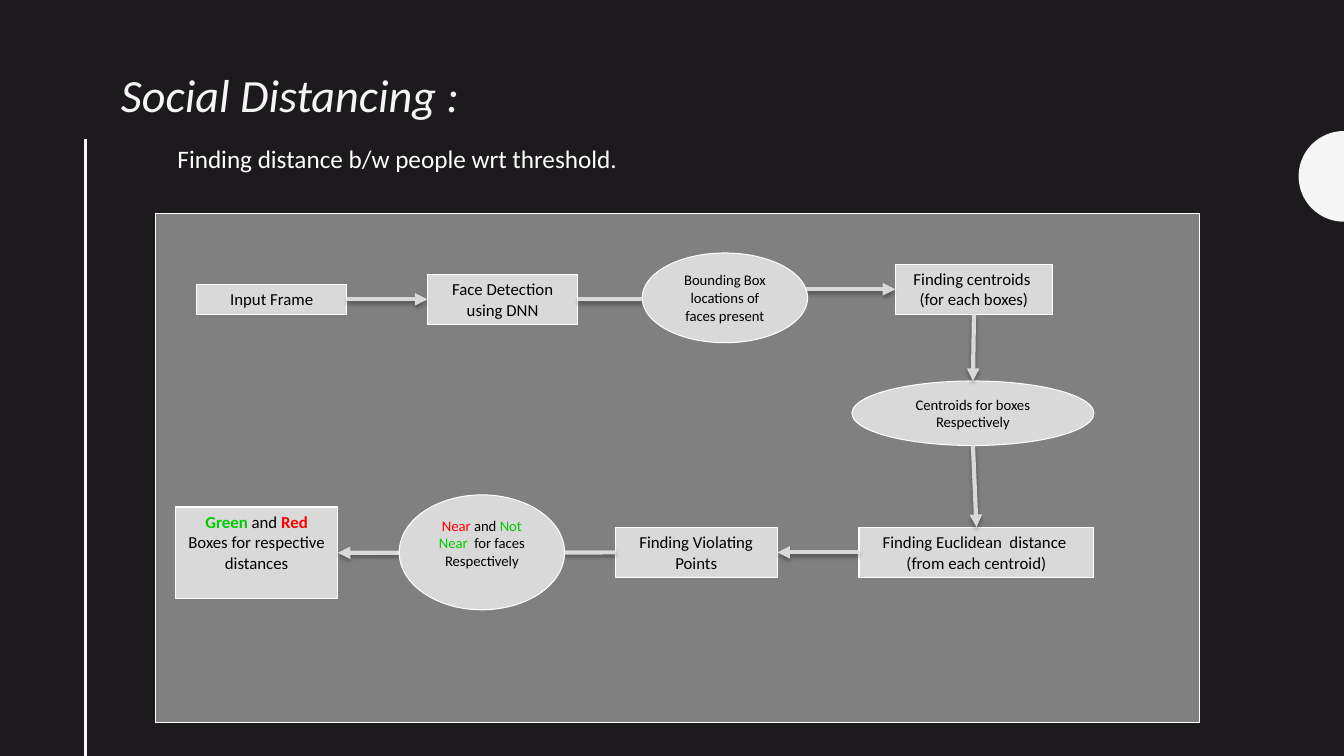
import math

from lxml import etree
from pptx import Presentation
from pptx.dml.color import RGBColor
from pptx.enum.shapes import MSO_CONNECTOR, MSO_SHAPE
from pptx.enum.text import MSO_ANCHOR, MSO_AUTO_SIZE, PP_ALIGN
from pptx.oxml import parse_xml
from pptx.oxml.ns import nsdecls, qn
from pptx.util import Inches, Pt

RECT, OVAL = MSO_SHAPE.RECTANGLE, MSO_SHAPE.OVAL
STRAIGHT, ELBOW = MSO_CONNECTOR.STRAIGHT, MSO_CONNECTOR.ELBOW
LEFT, CENTER = PP_ALIGN.LEFT, PP_ALIGN.CENTER
TOP, NO_FIT = MSO_ANCHOR.TOP, MSO_AUTO_SIZE.NONE
TOP_SIDE, LEFT_SIDE, BOTTOM_SIDE, RIGHT_SIDE = range(4)
FONT = "Calibri"
COLORS = {"back": "1D1A1D", "light": "F5F5F5", "white": "FFFFFF", "panel": "808080",
          "node": "D9D9D9", "black": "000000", "green": "00CC00", "red": "FF0000"}

STEPS = {
    "input": (0.41, 0.7, 1.49, 0.3, [[("Input Frame", "black", False)]]),
    "detect": (2.7, 0.6, 1.49, 0.5, [[("Face Detection using DNN", "black", False)]]),
    "centroids": (7.34, 0.5, 1.56, 0.5, [[("Finding centroids ", "black", False)],
                                         [("(for each boxes)", "black", False)]]),
    "euclidean": (6.98, 3.11, 2.33, 0.5, [[("Finding Euclidean  distance ", "black", False)],
                                          [("(from each centroid)", "black", False)]]),
    "violating": (4.56, 3.11, 1.61, 0.5, [[("Finding Violating Points", "black", False)]]),
    "result": (0.2, 2.91, 1.61, 0.91, [[("Green", "green", True), (" and ", "black", False),
                                        ("Red", "red", True),
                                        (" Boxes for respective distances", "black", False)]]),
}
DATA = {
    "boxes": (4.83, 0.39, 1.64, 0.89,
              [[("Bounding Box locations of faces present", "black", False)]]),
    "points": (6.91, 1.66, 2.4, 0.64,
               [[("Centroids for boxes Respectively", "black", False)]]),
    "labels": (2.42, 2.79, 1.64, 1.14, [[("Near", "red", False), (" and ", "black", False),
                                         ("Not Near ", "green", False),
                                         (" for faces Respectively", "black", False)]]),
}
ARROWS = [("input", RIGHT_SIDE, "detect", LEFT_SIDE, STRAIGHT),
          ("detect", RIGHT_SIDE, "centroids", LEFT_SIDE, ELBOW),
          ("euclidean", LEFT_SIDE, "violating", RIGHT_SIDE, STRAIGHT),
          ("violating", LEFT_SIDE, "result", RIGHT_SIDE, STRAIGHT)]


def rgb(name):
    """Return the named colour."""
    return RGBColor.from_string(COLORS[name])


def add_run(p, text, size, color, bold=False, italic=False):
    """Append one formatted run."""
    r = p.add_run()
    r.text = text
    r.font.name, r.font.size = FONT, Pt(size)
    r.font.bold, r.font.italic = bold, italic
    r.font.color.rgb = rgb(color)


def add_box(s, kind, x, y, w, h, fill):
    """Add an outlined shape."""
    sp = s.shapes.add_shape(kind, Inches(x), Inches(y), Inches(w), Inches(h))
    sp.shadow.inherit = False
    sp.fill.solid()
    sp.fill.fore_color.rgb = rgb(fill)
    sp.line.color.rgb = rgb("white")
    sp.line.width = Pt(0.75)
    return sp


def add_node(s, kind, x, y, w, h, paragraphs, size):
    """Add a flowchart node with centred text."""
    sp = add_box(s, kind, x, y, w, h, "node")
    tf = sp.text_frame
    tf.word_wrap, tf.vertical_anchor = True, TOP
    for i, runs in enumerate(paragraphs):
        p = tf.add_paragraph() if i else tf.paragraphs[0]
        p.alignment = CENTER
        for text, color, bold in runs:
            add_run(p, text, size, color, bold)
    return sp


def add_line(s, kind, x1, y1, x2, y2, color, width):
    """Add a connector without effects."""
    cx = s.shapes.add_connector(kind, x1, y1, x2, y2)
    cx.line.color.rgb = rgb(color)
    cx.line.width = Pt(width)
    effects = etree.SubElement(cx._element.spPr, qn("a:effectLst"))
    return cx, effects


def add_arrow(s, kind=STRAIGHT, start=(0, 0), end=(0, 0)):
    """Add a flow arrow with a soft shadow."""
    cx, effects = add_line(s, kind, *start, *end, "node", 3)
    etree.SubElement(cx.line._get_or_add_ln(), qn("a:tailEnd"), type="triangle")
    effects.append(parse_xml(
        f'<a:outerShdw {nsdecls("a")} blurRad="{Pt(3.1)}" dist="{Pt(1.8)}" dir="5400000" '
        'rotWithShape="0"><a:srgbClr val="000000"><a:alpha val="35000"/></a:srgbClr>'
        '</a:outerShdw>'))
    return cx


def add_decoration(s, w, h):
    """Draw the background, side rule and half disc."""
    s.background.fill.solid()
    s.background.fill.fore_color.rgb = rgb("back")
    add_line(s, STRAIGHT, Inches(0.85), Inches(1.38), Inches(0.85), Inches(h), "light", 2)
    cy, radius, steps = 1.75, 0.45, 50
    points = [(Inches(w - radius * math.sin(math.pi * i / steps)),
               Inches(cy - radius * math.cos(math.pi * i / steps))) for i in range(steps + 1)]
    fb = s.shapes.build_freeform(*points[0])
    fb.add_line_segments(points[1:], close=True)
    sp = fb.convert_to_shape()
    sp.shadow.inherit = False
    sp.fill.solid()
    sp.fill.fore_color.rgb = rgb("light")
    sp.line.fill.background()


def add_heading(sp, x, y, w, h, text, size, color, italic=False):
    """Place and fill a text placeholder."""
    sp.left, sp.top, sp.width, sp.height = Inches(x), Inches(y), Inches(w), Inches(h)
    tf = sp.text_frame
    tf.word_wrap, tf.vertical_anchor, tf.auto_size = True, TOP, NO_FIT
    p = tf.paragraphs[0]
    p.alignment, p.space_before = LEFT, Pt(0)
    add_run(p, text, size, color, italic=italic)
    return p


def add_flowchart(s, x, y, w, h):
    """Draw the processing flow inside its panel."""
    add_box(s, RECT, x, y, w, h, "panel")
    steps = {name: add_node(s, RECT, x + dx, y + dy, nw, nh, text, 12)
             for name, (dx, dy, nw, nh, text) in STEPS.items()}
    for start, side, end, end_side, kind in ARROWS:
        cx = add_arrow(s, kind)
        cx.begin_connect(steps[start], side)
        cx.end_connect(steps[end], end_side)
    data = {name: add_node(s, OVAL, x + dx, y + dy, nw, nh, text, 10.5)
            for name, (dx, dy, nw, nh, text) in DATA.items()}
    points = data["points"]
    middle = points.left + points.width // 2
    cx = add_arrow(s, end=(middle, points.top))
    cx.begin_connect(steps["centroids"], BOTTOM_SIDE)
    cx = add_arrow(s, start=(middle, points.top + points.height))
    cx.end_connect(steps["euclidean"], TOP_SIDE)


def main():
    """Build and save the slide."""
    prs = Presentation()
    prs.slide_width, prs.slide_height = Inches(13.33), Inches(7.5)
    s = prs.slides.add_slide(prs.slide_layouts[1])
    add_decoration(s, 13.33, 7.5)
    p = add_heading(s.shapes.title, 1.1, 0.53, 7.69, 0.77, "Social Distancing :", 33,
                    "light", True)
    p.line_spacing = 1.14
    p = add_heading(s.placeholders[1], 1.54, 1.37, 10.74, 0.4,
                    "Finding distance b/w people wrt threshold.", 18, "white")
    pPr = p._p.get_or_add_pPr()
    pPr.set("marL", str(Inches(0.12)))
    pPr.set("indent", "0")
    etree.SubElement(pPr, qn("a:buNone"))
    add_flowchart(s, 1.54, 2.12, 10.36, 5.05)
    prs.save("out.pptx")


if __name__ == "__main__":
    main()
